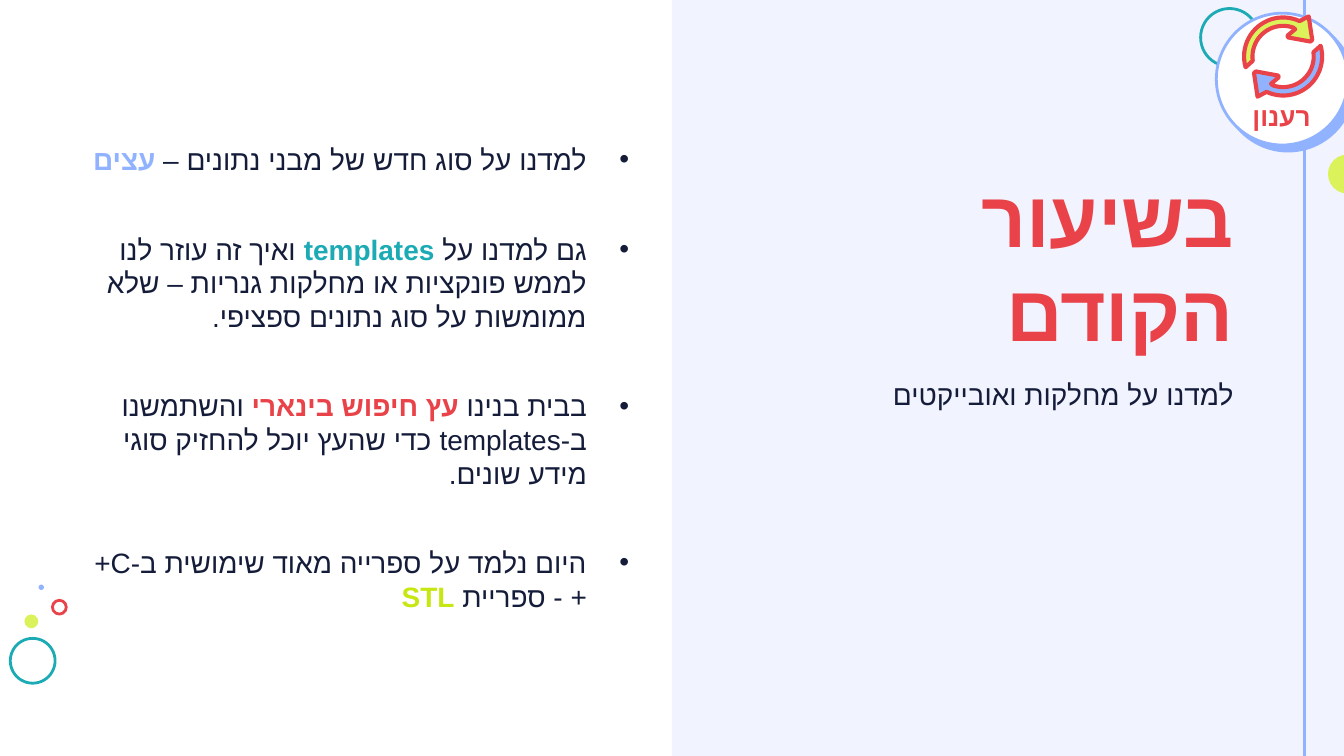
from dataclasses import dataclass
from math import cos, radians, sin
from typing import NamedTuple, Optional

from lxml import etree
from pptx import Presentation
from pptx.dml.color import RGBColor
from pptx.enum.shapes import MSO_CONNECTOR, MSO_SHAPE
from pptx.enum.text import MSO_ANCHOR, MSO_AUTO_SIZE, PP_ALIGN
from pptx.oxml.ns import qn
from pptx.util import Pt

RECT, OVAL = MSO_SHAPE.RECTANGLE, MSO_SHAPE.OVAL
STRAIGHT = MSO_CONNECTOR.STRAIGHT
TOP, MIDDLE, BOTTOM = MSO_ANCHOR.TOP, MSO_ANCHOR.MIDDLE, MSO_ANCHOR.BOTTOM
RIGHT, CENTER = PP_ALIGN.RIGHT, PP_ALIGN.CENTER


@dataclass(frozen=True)
class Theme:
    font: str = "Arial"
    white: str = "FFFFFF"
    panel: str = "F1F3FE"
    ink: str = "141C3A"
    red: str = "E94249"
    blue: str = "91B3FF"
    teal: str = "1CABB5"
    lime: str = "DCF25B"
    dark_lime: str = "C8E712"
    title_size: float = 42
    body_size: float = 15
    badge_size: float = 14
    stroke: float = 1.5
    arrow_stroke: float = 2.2


THEME = Theme()


class Circle(NamedTuple):
    left: float
    top: float
    diameter: float
    fill: Optional[str] = None
    line: Optional[str] = None


class Span(NamedTuple):
    text: str
    color: str = THEME.ink
    bold: bool = False


class Box(NamedTuple):
    left: float
    top: float
    width: float
    height: float


def apply(target, formats: dict) -> None:
    for name, value in formats.items():
        setattr(target, name, value)


def place(shape, box: Box) -> None:
    apply(shape, {name: Pt(value) for name, value in box._asdict().items()})


def paint(shape, fill: Optional[str], line: Optional[str],
          width: float = THEME.stroke) -> None:
    shape.shadow.inherit = False
    if fill:
        shape.fill.solid()
        shape.fill.fore_color.rgb = RGBColor.from_string(fill)
    else:
        shape.fill.background()
    if line:
        shape.line.color.rgb = RGBColor.from_string(line)
        shape.line.width = Pt(width)
    else:
        shape.line.fill.background()


def draw_circle(slide, circle: Circle):
    shape = slide.shapes.add_shape(
        OVAL, Pt(circle.left), Pt(circle.top),
        Pt(circle.diameter), Pt(circle.diameter))
    paint(shape, circle.fill, circle.line)
    return shape


def cast_shadow(shape, color: str, distance: float, degrees: int) -> None:
    effects = shape._element.spPr.find(qn("a:effectLst"))
    shadow = etree.SubElement(effects, qn("a:outerShdw"), blurRad="0",
                              dist=str(Pt(distance)), dir=str(degrees * 60000),
                              algn="bl", rotWithShape="0")
    etree.SubElement(shadow, qn("a:srgbClr"), val=color)


def arc(radius: float, start: int, end: int, steps: int = 24) -> list:
    angles = [radians(start + (end - start) * i / steps)
              for i in range(steps + 1)]
    return [(radius * cos(a), radius * sin(a)) for a in angles]


def draw_cycle_arrow(slide, turn: int, fill: str) -> None:
    """Curved arrow around the badge icon's centre; turn is 1 or -1."""
    center_x, center_y = 687.4, 30.3
    head = [(13.7, -21.5), (15.6, -8.8), (14.6, -8), (2.6, -10.2),
            (2.4, -11.2), (6.5, -14.6)]
    outline = arc(20.9, 164, 295) + head + arc(16.4, 289, 172)
    points = [(Pt(center_x + turn * x), Pt(center_y + turn * y))
              for x, y in outline]
    builder = slide.shapes.build_freeform(*points[0])
    builder.add_line_segments(points[1:], close=True)
    arrow = builder.convert_to_shape()
    paint(arrow, fill, THEME.red, THEME.arrow_stroke)
    etree.SubElement(arrow.line._get_or_add_ln(), qn("a:round"))


def add_bullet(paragraph) -> None:
    properties = paragraph._p.get_or_add_pPr()
    properties.set("marL", str(Pt(22.5)))
    properties.set("indent", str(Pt(-22.5)))
    color = etree.SubElement(properties, qn("a:buClr"))
    etree.SubElement(color, qn("a:srgbClr"), val=THEME.ink)
    etree.SubElement(properties, qn("a:buFont"), typeface=THEME.font)
    etree.SubElement(properties, qn("a:buChar"), char="•")


def write(shape, paragraphs: list, size: float, anchor, align=RIGHT,
          bullets: bool = False, **spacing) -> None:
    frame = shape.text_frame
    apply(frame, {"word_wrap": True, "auto_size": MSO_AUTO_SIZE.NONE,
                  "vertical_anchor": anchor, "margin_left": 0,
                  "margin_right": 0, "margin_top": 0, "margin_bottom": 0})
    for index, spans in enumerate(paragraphs):
        paragraph = frame.add_paragraph() if index else frame.paragraphs[0]
        paragraph._p.get_or_add_pPr().set("rtl", "1")
        if bullets:
            add_bullet(paragraph)
        apply(paragraph, {"alignment": align, "space_before": Pt(0), **spacing})
        for span in spans:
            run = paragraph.add_run()
            run.text = span.text
            apply(run.font, {"size": Pt(size), "bold": span.bold,
                             "name": THEME.font})
            run.font.color.rgb = RGBColor.from_string(span.color)
            etree.SubElement(run._r.get_or_add_rPr(), qn("a:cs"),
                             typeface=THEME.font)


def add_text(slide, box: Box, paragraphs: list, size: float, anchor,
             **options) -> None:
    shape = slide.shapes.add_textbox(*(Pt(value) for value in box))
    write(shape, paragraphs, size, anchor, **options)


RECAP = [
    [Span("למדנו על סוג חדש של מבני נתונים – "),
     Span("עצים", THEME.blue, True)],
    [Span("גם למדנו על "), Span("templates", THEME.teal, True),
     Span(" ואיך זה עוזר לנו לממש פונקציות או מחלקות גנריות – "
          "שלא ממומשות על סוג נתונים ספציפי.")],
    [Span("בבית בנינו "), Span("עץ חיפוש בינארי", THEME.red, True),
     Span(" והשתמשנו ב-templates כדי שהעץ יוכל להחזיק סוגי מידע שונים.")],
    [Span("היום נלמד על ספרייה מאוד שימושית ב-C++ - ספריית "),
     Span("STL", THEME.dark_lime, True)],
]
ACCENTS = [
    Circle(5.5, 342, 24, line=THEME.teal),
    Circle(711.4, 82.8, 20.9, fill=THEME.lime),
    Circle(13.1, 329.2, 7.4, fill=THEME.lime),
    Circle(28.1, 321.6, 7.4, line=THEME.red),
    Circle(20.7, 313.2, 2.9, fill=THEME.blue),
]


def main() -> None:
    deck = Presentation()
    apply(deck, {"slide_width": Pt(720), "slide_height": Pt(405)})
    slide = deck.slides.add_slide(deck.slide_layouts[5])

    # Right-hand panel and vertical rule
    panel = slide.shapes.add_shape(RECT, Pt(360), 0, Pt(360), Pt(405))
    paint(panel, THEME.panel, None)
    draw_circle(slide, Circle(643.2, 4.6, 31, line=THEME.teal))
    rule = slide.shapes.add_connector(STRAIGHT, Pt(699), Pt(-6),
                                      Pt(699), Pt(408))
    rule.line.color.rgb = RGBColor.from_string(THEME.blue)
    rule.line.width = Pt(THEME.stroke)
    etree.SubElement(rule._element.spPr, qn("a:effectLst"))

    # Badge disc and accent circles
    badge = draw_circle(slide, Circle(651.6, 7.1, 70.6, THEME.white, THEME.blue))
    cast_shadow(badge, THEME.blue, 4.5, 46)
    for accent in ACCENTS:
        draw_circle(slide, accent)

    # Title, brought in front of the panel
    title = slide.shapes.title
    slide.shapes._spTree.append(title._element)
    place(title, Box(395.3, 78.5, 265.7, 113))
    write(title, [[Span("בשיעור הקודם", THEME.red, True)]],
          THEME.title_size, BOTTOM)

    # Subtitle and recap list
    add_text(slide, Box(395.3, 202.3, 265.7, 164.2),
             [[Span("למדנו על מחלקות ואובייקטים")]], THEME.body_size, TOP)
    add_text(slide, Box(42.5, 42.5, 294.5, 319.7), RECAP, THEME.body_size,
             MIDDLE, bullets=True, space_after=Pt(30))

    # Badge label and icon
    add_text(slide, Box(658.1, 46.8, 56.9, 23.8),
             [[Span("רענון", THEME.red, True)]], THEME.badge_size, BOTTOM,
             align=CENTER, line_spacing=0.8)
    draw_cycle_arrow(slide, 1, THEME.lime)
    draw_cycle_arrow(slide, -1, THEME.blue)

    deck.save("out.pptx")


if __name__ == "__main__":
    main()
